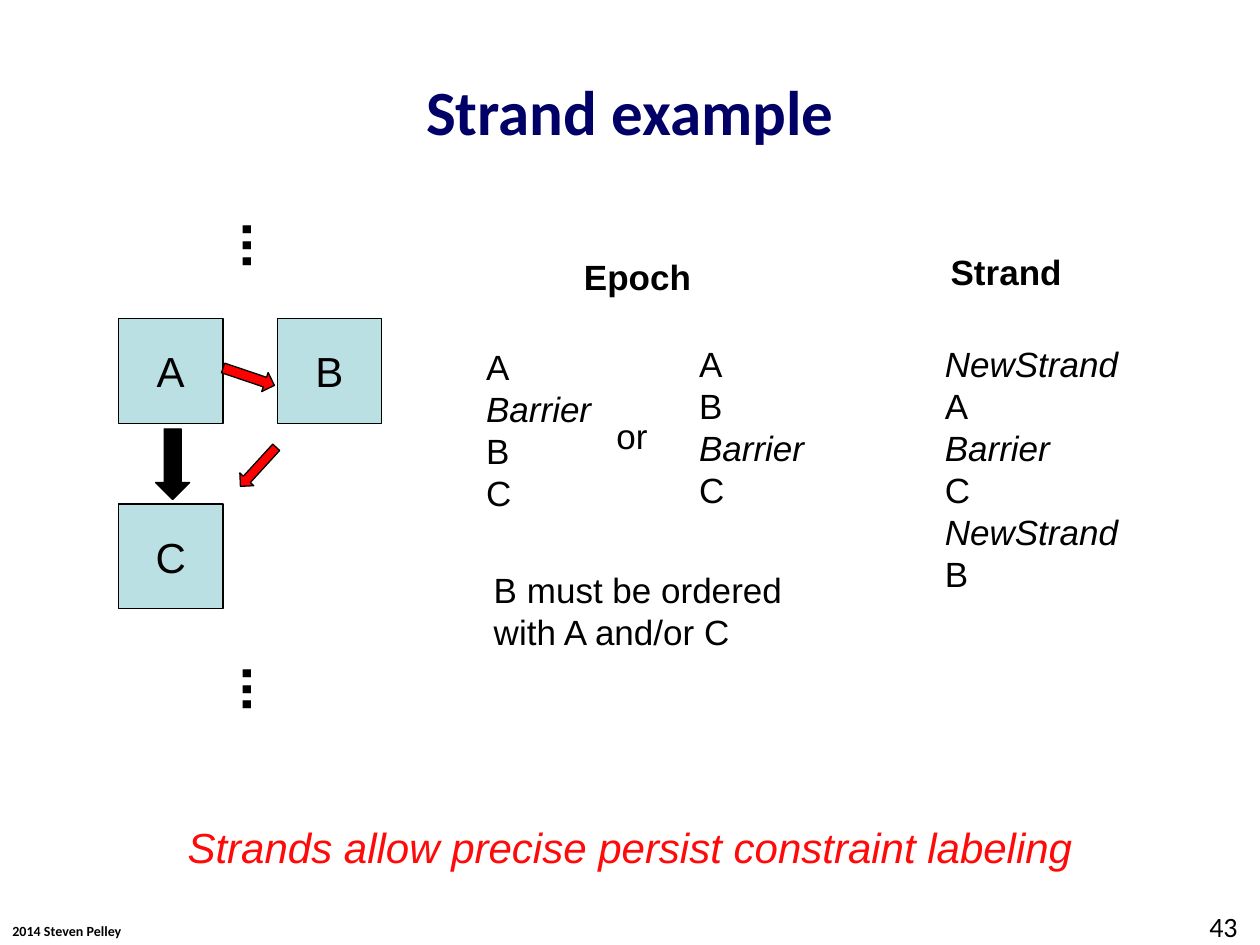
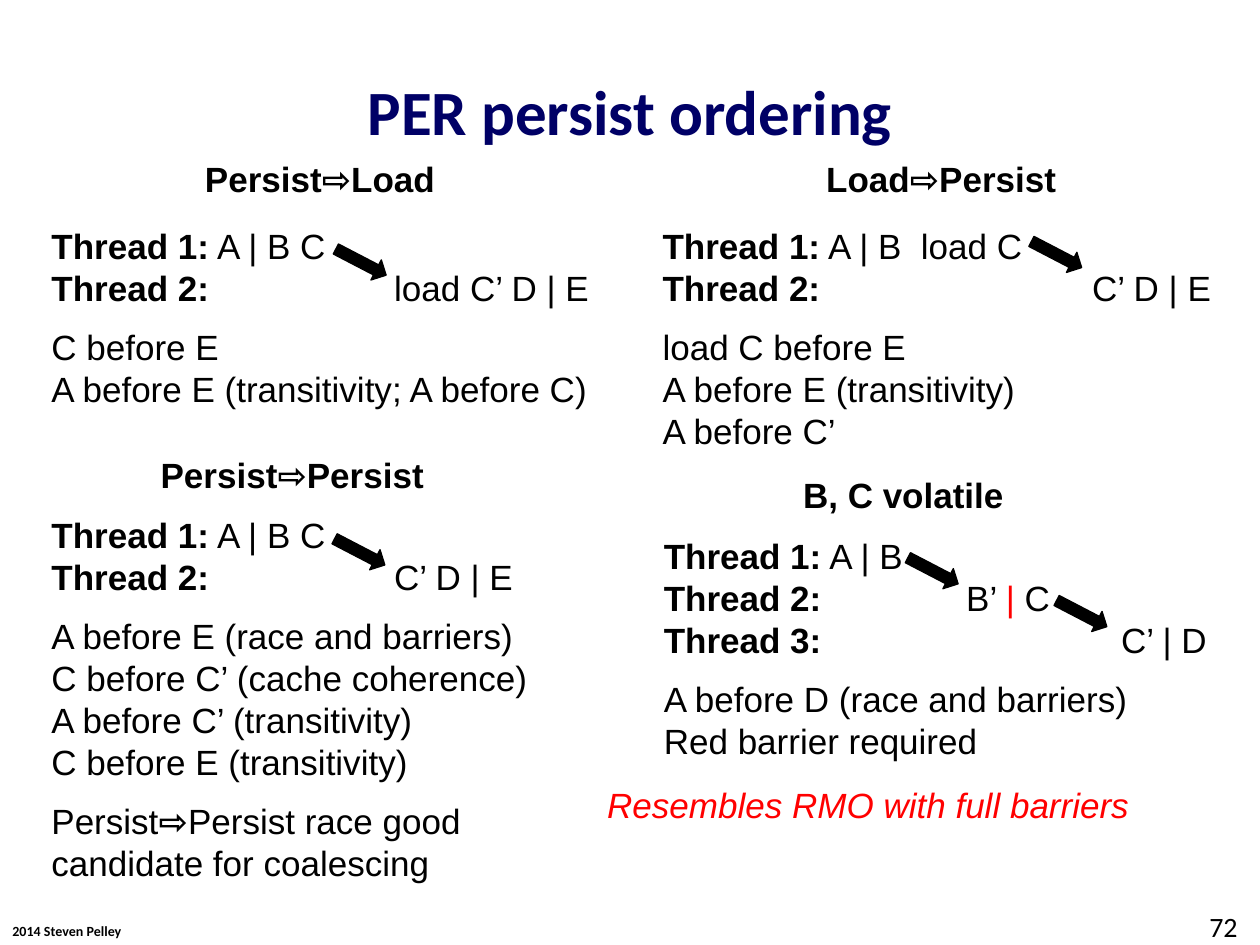
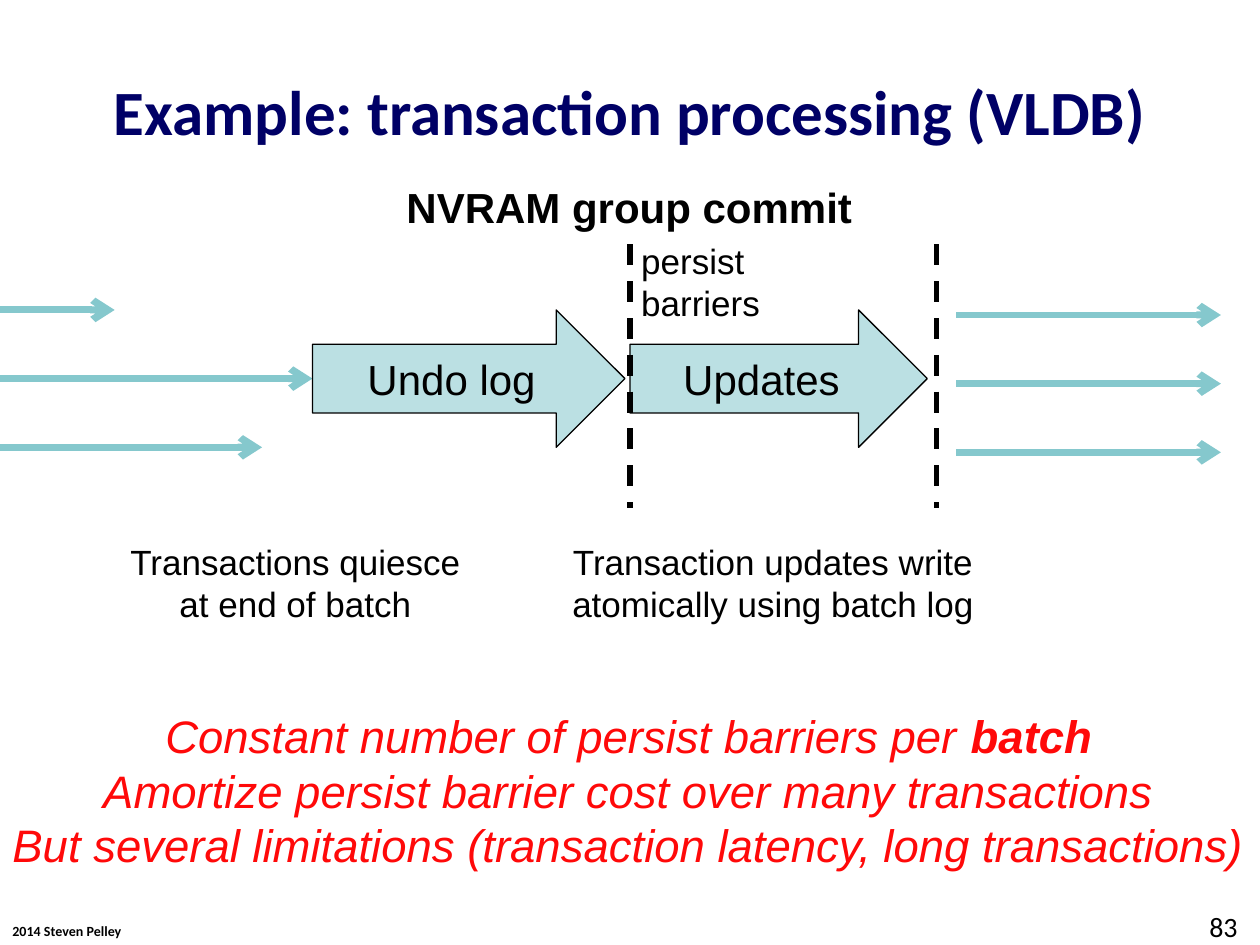
from lxml.etree import SubElement
from pptx import Presentation
from pptx.dml.color import RGBColor
from pptx.enum.dml import MSO_LINE
from pptx.enum.shapes import MSO_CONNECTOR, MSO_SHAPE
from pptx.enum.text import MSO_ANCHOR, MSO_AUTO_SIZE, PP_ALIGN
from pptx.oxml.ns import qn
from pptx.util import Inches, Pt

BLACK = RGBColor(0, 0, 0)
NAVY = RGBColor(0, 0, 0x66)
RED = RGBColor(0xFF, 0, 0)
CORAL = RGBColor(0xFF, 0x09, 0x09)
PALE = RGBColor(0xBB, 0xE0, 0xE3)
TEAL = RGBColor(0x85, 0xC8, 0xCD)

LEFT, MID = PP_ALIGN.LEFT, PP_ALIGN.CENTER


def bold(text):
    return text, {"bold": True}


def ital(text):
    return text, {"italic": True}


def write(frame, lines, size=20, font="Arial", color=BLACK, align=LEFT,
          bold=False, italic=False, gaps=(), tabs=None):
    lines = [lines] if isinstance(lines, str) else lines
    for row, line in enumerate(lines):
        para = frame.add_paragraph() if row else frame.paragraphs[0]
        if tabs and row in tabs:
            stops = SubElement(para._p.get_or_add_pPr(), qn("a:tabLst"))
            SubElement(stops, qn("a:tab"), pos=str(Inches(tabs[row])), algn="l")
        para.alignment = align
        if row in gaps:
            para.space_before = Pt(9.6)
        for part in line if isinstance(line, list) else [line]:
            text, extra = part if isinstance(part, tuple) else (part, {})
            run = para.add_run()
            run.text = text
            run.font.name = font
            run.font.size = Pt(size)
            run.font.bold = extra.get("bold", bold)
            run.font.italic = extra.get("italic", italic)
            run.font.color.rgb = extra.get("color", color)


class Deck:
    def __init__(self):
        self.file = Presentation()
        self.file.slide_width = Inches(10)
        self.file.slide_height = Inches(7.5)
        self.slide = None

    def start(self, title, page):
        self.slide = self.file.slides.add_slide(self.file.slide_layouts[6])
        self.text(0, 7.27, 1.07, 0.24, "2014 Steven Pelley",
                  size=8, font="Calibri", bold=True)
        self.text(0.5, 0.5, 9, 0.75, title, wrap=True, anchor=MSO_ANCHOR.MIDDLE,
                  size=36, font="Calibri", color=NAVY, bold=True, align=MID)
        self.text(9.5, 7.17, 0.5, 0.33, str(page), wrap=True,
                  size=16, font="Calibri")

    def text(self, x, y, w, h, lines, wrap=False, turn=0,
             anchor=MSO_ANCHOR.TOP, **style):
        box = self.slide.shapes.add_textbox(Inches(x), Inches(y), Inches(w), Inches(h))
        box.rotation = turn
        frame = box.text_frame
        frame.word_wrap = wrap
        frame.auto_size = MSO_AUTO_SIZE.NONE if wrap else MSO_AUTO_SIZE.SHAPE_TO_FIT_TEXT
        frame.vertical_anchor = anchor
        write(frame, lines, **style)

    def head(self, x, y, w, text):
        self.text(x, y, w, 0.44, text, bold=True, align=MID)

    def shape(self, kind, x, y, w, h, fill=PALE, turn=0, label=None):
        item = self.slide.shapes.add_shape(kind, Inches(x), Inches(y), Inches(w), Inches(h))
        item.shadow.inherit = False
        item.rotation = turn
        item.fill.solid()
        item.fill.fore_color.rgb = fill
        item.line.color.rgb = BLACK
        item.line.width = Pt(0.75)
        if label:
            item.text_frame.vertical_anchor = MSO_ANCHOR.MIDDLE
            write(item.text_frame, label, size=24, align=MID)

    def arrow(self, x, y, w, h, **style):
        self.shape(MSO_SHAPE.RIGHT_ARROW, x, y, w, h, **style)

    def line(self, x1, y1, x2, y2, color, width, dash=None, tip=False):
        item = self.slide.shapes.add_connector(
            MSO_CONNECTOR.STRAIGHT, Inches(x1), Inches(y1), Inches(x2), Inches(y2))
        item.line.color.rgb = color
        item.line.width = Pt(width)
        if dash:
            item.line.dash_style = dash
        if tip:
            SubElement(item.line._get_or_add_ln(), qn("a:tailEnd"), type="arrow")
        SubElement(item._element.spPr, qn("a:effectLst"))


def strand(deck):
    deck.start("Strand example", 43)
    deck.text(1.35, 6.47, 7.3, 0.5, "Strands allow precise persist constraint labeling",
              size=24, color=CORAL, italic=True, align=MID)
    for name, x, y in (("A", 0.94, 2.53), ("B", 2.2, 2.53), ("C", 0.94, 4)):
        deck.shape(MSO_SHAPE.RECTANGLE, x, y, 0.83, 0.83, label=name)
    for y in (1.63, 5.15):
        deck.text(1.53, y, 0.58, 0.64, "...", turn=270, size=32, bold=True, align=MID)
    deck.arrow(1.09, 3.55, 0.56, 0.27, fill=BLACK, turn=90)
    deck.arrow(1.76, 2.91, 0.43, 0.16, fill=RED, turn=18.7)
    deck.arrow(1.84, 3.63, 0.42, 0.15, fill=RED, turn=132.5)

    deck.head(4.53, 1.98, 1.06, "Epoch")
    deck.head(7.44, 1.94, 1.09, "Strand")
    wall, new = [ital("Barrier")], [ital("NewStrand")]
    deck.text(3.76, 2.69, 1.04, 1.45, ["A", wall, "B", "C"])
    deck.text(5.45, 2.67, 1.04, 1.45, ["A", "B", wall, "C"])
    deck.text(7.4, 2.67, 1.59, 2.12, [new, "A", wall, "C", new, "B"])
    deck.text(4.79, 3.24, 0.45, 0.44, "or", align=MID)
    deck.text(3.82, 4.46, 2.95, 0.77, "B must be ordered with A and/or C", wrap=True)


def order(deck):
    deck.start("PER persist ordering", 72)
    one, two, three = (bold(f"Thread {n}:") for n in (1, 2, 3))

    deck.head(1.47, 1.2, 2.14, "Persist⇨Load")
    deck.text(0.31, 1.73, 4.49, 1.58, [
        [one, " A | B C"],
        [two, "\tload C’ D | E"],
        "C before E",
        "A before E (transitivity; A before C)",
    ], gaps=[2], tabs={1: 2.72})

    deck.head(1.16, 3.55, 2.32, "Persist⇨Persist")
    deck.text(0.31, 4.03, 4.13, 3.06, [
        [one, " A | B C"],
        [two, "\tC’ D | E"],
        "A before E (race and barriers)",
        "C before C’ (cache coherence)",
        "A before C’ (transitivity)",
        "C before E (transitivity)",
        ["Persist", bold("⇨"), "Persist race good candidate for coalescing"],
    ], wrap=True, gaps=[2, 6], tabs={1: 2.72})

    deck.head(6.4, 1.2, 2.14, "Load⇨Persist")
    deck.text(5.16, 1.73, 4.75, 1.92, [
        [one, " A | B\tload C"],
        [two, "\tC’ D | E"],
        "load C before E",
        "A before E (transitivity)",
        "A before C’",
    ], gaps=[2], tabs={0: 2.05, 1: 3.41})

    deck.head(6.27, 3.71, 1.8, "B, C volatile")
    deck.text(5.17, 4.19, 4.54, 1.92, [
        [one, " A | B"],
        [two, "\tB’ ", ("|", {"color": RED}), " C"],
        [three, "\tC’ | D"],
        "A before D (race and barriers)",
        "Red barrier required",
    ], gaps=[3], tabs={1: 2.4, 2: 3.63})

    for x, y in ((2.64, 1.99), (2.63, 4.29), (8.16, 1.93), (7.18, 4.44), (8.36, 4.78)):
        deck.arrow(x, y, 0.45, 0.18, fill=BLACK, turn=27.5)
    deck.text(4.72, 6.17, 4.88, 0.44, "Resembles RMO with full barriers",
              wrap=True, color=RED, italic=True)


def commit(deck):
    deck.start("Example: transaction processing (VLDB)", 83)
    for row, end in enumerate((0.91, 2.48, 2.08)):
        y = 2.46 + row * 0.545
        deck.line(end - 3.58, y, end, y, TEAL, 4, tip=True)
        deck.line(7.59, y + 0.04, 9.69, y + 0.04, TEAL, 4, tip=True)
    deck.arrow(2.48, 2.46, 2.48, 1.09, label="Undo log")
    deck.arrow(5, 2.46, 2.36, 1.09, label="Updates")
    for x in (5, 7.43):
        deck.line(x, 1.94, x, 4.03, BLACK, 3, dash=MSO_LINE.DASH)

    deck.text(3.11, 1.39, 3.77, 0.5, "NVRAM group commit", size=24, bold=True, align=MID)
    deck.text(4.99, 1.85, 1.15, 0.77, ["persist", "barriers"])
    deck.text(0.91, 4.24, 2.87, 0.77, "Transactions quiesce at end of batch",
              wrap=True, align=MID)
    deck.text(4.09, 4.24, 4.09, 0.77, "Transaction updates write atomically using batch log",
              wrap=True, align=MID)
    deck.text(-0.05, 5.57, 10.08, 1.41, [
        ["Constant number of persist barriers per ", bold("batch")],
        "Amortize persist barrier cost over many transactions",
        "But several limitations (transaction latency, long transactions)",
    ], size=26, color=CORAL, italic=True, align=MID)


def main():
    deck = Deck()
    for build in (strand, order, commit):
        build(deck)
    deck.file.save("out.pptx")


if __name__ == "__main__":
    main()
